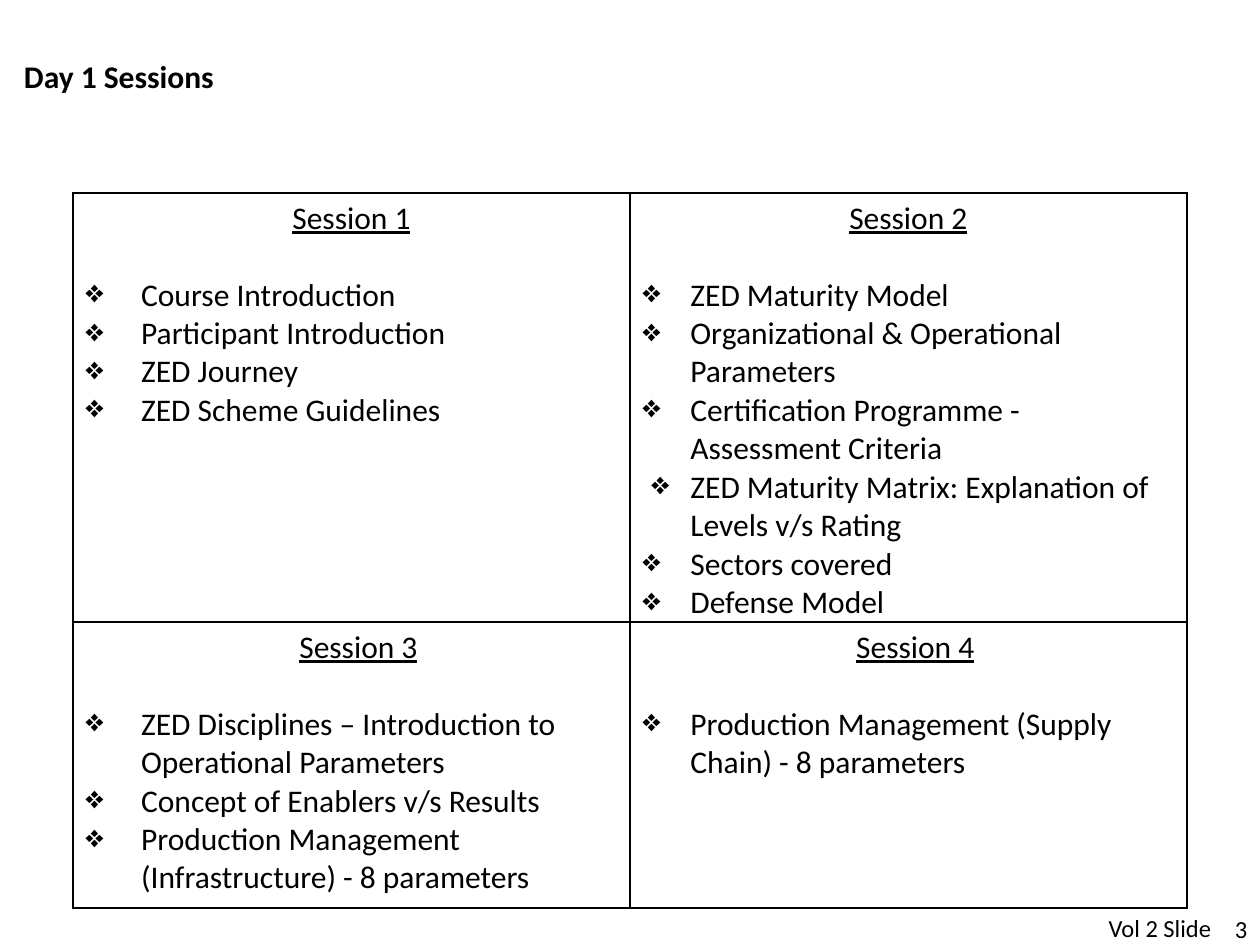
import pptx
import pptx.util
import pptx.dml.color
import pptx.enum.text
import pptx.oxml.ns
from lxml import etree

Inches, Pt = pptx.util.Inches, pptx.util.Pt
ALIGN, ANCHOR = pptx.enum.text.PP_ALIGN, pptx.enum.text.MSO_ANCHOR
COLORS = {"text": "000000", "border": "000000", "background": "FFFFFF"}
FONT = "Calibri"
BODY_SIZE, FOOTER_SIZE = 18, 14
HEADING_GAP = 22  # one line of body text, in points

# Content: heading, heading indent, bullet indent, topics
SESSIONS = [
    ("Session 1", 0, 0.44, [
        "Course Introduction",
        "Participant Introduction",
        "ZED Journey",
        "ZED Scheme Guidelines"]),
    ("Session 2", 0, 0.38, [
        "ZED Maturity Model",
        "Organizational & Operational Parameters",
        "Certification Programme - Assessment Criteria",
        "ZED Maturity Matrix: Explanation of Levels v/s Rating",
        "Sectors covered",
        "Defense Model"]),
    ("Session 3", 0.11, 0.44, [
        "ZED Disciplines – Introduction to Operational Parameters",
        "Concept of Enablers v/s Results",
        "Production Management (Infrastructure) - 8 parameters"]),
    ("Session 4", 0.11, 0.38, [
        "Production Management (Supply Chain) - 8 parameters"]),
]
SHORT_HANGING = {"ZED Maturity Matrix: Explanation of Levels v/s Rating": 0.31}

# Labels: text, box, size, bold, alignment, anchor, horizontal and vertical inset
LABELS = [
    ("Day 1 Sessions", (0.19, 0.45, 7.65, 0.3), BODY_SIZE, True,
     ALIGN.LEFT, ANCHOR.BOTTOM, 0, 0),
    ("Vol 2 Slide", (8.7, 7.2, 1.07, 0.34), FOOTER_SIZE, False,
     ALIGN.LEFT, ANCHOR.TOP, 0.1, 0.05),
    ("3", (9.53, 7.25, 0.37, 0.24), FOOTER_SIZE, False,
     ALIGN.RIGHT, ANCHOR.BOTTOM, 0, 0),
]
TABLE_LEFT, TABLE_TOP = 0.58, 1.53
COLUMN_WIDTHS, ROW_HEIGHTS = [4.42, 4.42], [3.33, 2.27]


def add_child(parent, tag, **attributes):
    return etree.SubElement(parent, pptx.oxml.ns.qn(tag), attributes)


def format_font(paragraph, size, bold=False, underline=False):
    for run in paragraph.runs:
        font = run.font
        font.name, font.size = FONT, Pt(size)
        font.bold, font.underline = bold, underline
        font.color.rgb = pptx.dml.color.RGBColor.from_string(COLORS["text"])


def set_indent(paragraph, left, hanging=0):
    properties = paragraph._p.get_or_add_pPr()
    properties.set("marL", str(Inches(left)))
    properties.set("indent", str(-Inches(hanging)))
    return properties


def add_borders(cell):
    properties = cell._tc.get_or_add_tcPr()
    for side in ("a:lnL", "a:lnR", "a:lnT", "a:lnB"):
        line = add_child(properties, side, w=str(Pt(1)))
        add_child(add_child(line, "a:solidFill"), "a:srgbClr", val=COLORS["border"])


def fill_session(cell, heading, heading_indent, bullet_indent, topics):
    add_borders(cell)
    cell.fill.solid()
    cell.fill.fore_color.rgb = pptx.dml.color.RGBColor.from_string(COLORS["background"])
    title = cell.text_frame.paragraphs[0]
    title.text = heading
    title.alignment = ALIGN.CENTER
    title.space_after = Pt(HEADING_GAP)
    set_indent(title, heading_indent)
    format_font(title, BODY_SIZE, underline=True)
    for topic in topics:
        paragraph = cell.text_frame.add_paragraph()
        paragraph.text = topic
        hanging = SHORT_HANGING.get(topic, bullet_indent)
        properties = set_indent(paragraph, bullet_indent, hanging)
        add_child(properties, "a:buChar", char="❖")
        format_font(paragraph, BODY_SIZE)


presentation = pptx.Presentation()
presentation.slide_width, presentation.slide_height = Inches(10), Inches(7.5)
slide = presentation.slides.add_slide(presentation.slide_layouts[6])

# Title and footer
for text, box, size, bold, alignment, anchor, inset_x, inset_y in LABELS:
    frame = slide.shapes.add_textbox(*map(Inches, box)).text_frame
    frame.word_wrap = True
    frame.margin_left = frame.margin_right = Inches(inset_x)
    frame.margin_top = frame.margin_bottom = Inches(inset_y)
    frame.vertical_anchor = anchor
    paragraph = frame.paragraphs[0]
    paragraph.text = text
    paragraph.alignment = alignment
    format_font(paragraph, size, bold)

# Session table
table = slide.shapes.add_table(
    len(ROW_HEIGHTS), len(COLUMN_WIDTHS), Inches(TABLE_LEFT), Inches(TABLE_TOP),
    Inches(sum(COLUMN_WIDTHS)), Inches(sum(ROW_HEIGHTS))).table
table.first_row = table.horz_banding = False
for column, width in zip(table.columns, COLUMN_WIDTHS):
    column.width = Inches(width)
for row, height in zip(table.rows, ROW_HEIGHTS):
    row.height = Inches(height)
for cell, session in zip(table.iter_cells(), SESSIONS):
    fill_session(cell, *session)

presentation.save("out.pptx")
